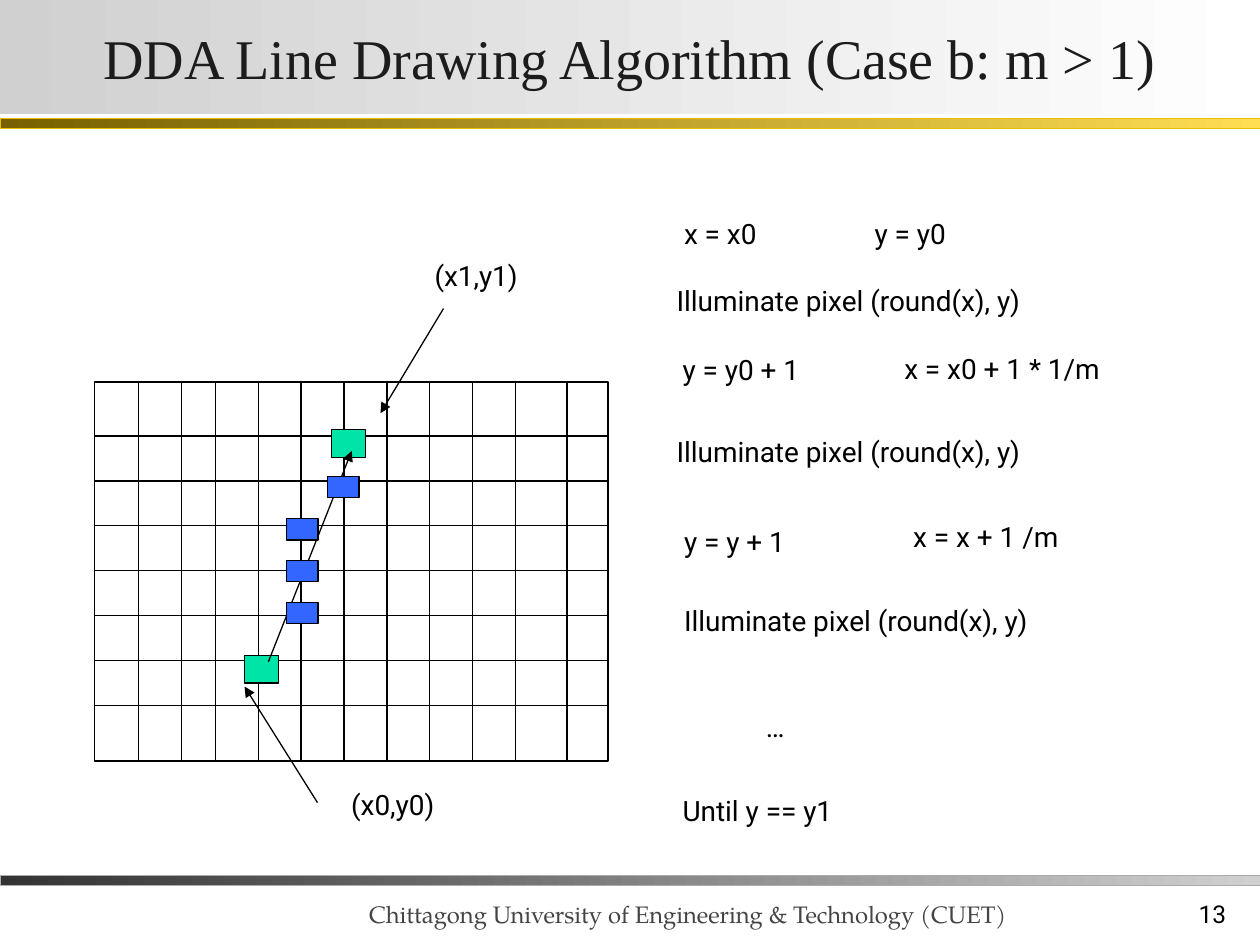
import pptx
import pptx.util
import pptx.dml.color
import pptx.enum.shapes
import pptx.enum.text
import pptx.oxml.ns
import lxml.etree

Cm, Pt = pptx.util.Cm, pptx.util.Pt
Align = pptx.enum.text.PP_ALIGN
Anchor = pptx.enum.text.MSO_ANCHOR
Fit = pptx.enum.text.MSO_AUTO_SIZE
BODY = {"name": "Roboto", "size": Pt(16)}
NOTE = {"name": "TeX Gyre Pagella", "size": Pt(13.6)}
HEAD = {"name": "Times New Roman", "size": Pt(32)}
GREEN, BLUE = "00E4A8", "3366FF"


def color(code):
    return pptx.dml.color.RGBColor.from_string(code)


def apply(obj, values):
    for key, value in values.items():
        setattr(obj, key, value)


def add_sub(parent, tag, **attrs):
    return lxml.etree.SubElement(parent, pptx.oxml.ns.qn(tag), attrs)


def add_box(slide, left, top, width, height, fill=None, edge="000000", weight=0.75):
    """Rectangle; fill is None, one colour, or a pair for a gradient."""
    box = slide.shapes.add_shape(pptx.enum.shapes.MSO_SHAPE.RECTANGLE,
                                 Cm(left), Cm(top), Cm(width), Cm(height))
    box.shadow.inherit = False
    if fill is None:
        box.fill.background()
    elif isinstance(fill, tuple):
        box.fill.gradient()
        box.fill.gradient_angle = 0
        for stop, code in zip(box.fill.gradient_stops, fill):
            stop.color.rgb = color(code)
    else:
        box.fill.solid()
        box.fill.fore_color.rgb = color(fill)
    if edge:
        box.line.color.rgb = color(edge)
        box.line.width = Pt(weight)
    else:
        box.line.fill.background()
    return box


def add_line(slide, start, end, arrow=False):
    line = slide.shapes.add_connector(pptx.enum.shapes.MSO_CONNECTOR.STRAIGHT,
                                      *map(Cm, start + end))
    line.line.color.rgb = color("000000")
    line.line.width = Pt(0.75)
    if arrow:
        add_sub(line.line._get_or_add_ln(), "a:tailEnd", type="triangle")
    add_sub(line._element.spPr, "a:effectLst")


def set_text(shape, text, font, code, frame, align=Align.LEFT, tab=None):
    apply(shape.text_frame, frame)
    para = shape.text_frame.paragraphs[0]
    para.alignment = align
    if tab:
        tabs = add_sub(para._p.get_or_add_pPr(), "a:tabLst")
        add_sub(tabs, "a:tab", pos=str(Cm(tab)), algn="l")
    run = para.add_run()
    run.text = text
    apply(run.font, font)
    run.font.color.rgb = color(code)


def add_text(slide, text, left, top, width, height=0.94, font=BODY,
             code="000000", frame=None, **more):
    box = slide.shapes.add_textbox(Cm(left), Cm(top), Cm(width), Cm(height))
    frame = frame or {"word_wrap": False, "auto_size": Fit.SHAPE_TO_FIT_TEXT}
    set_text(box, text, font, code, frame, **more)


def add_frame(slide):
    # Footer
    low = {"word_wrap": True, "vertical_anchor": Anchor.BOTTOM}
    add_text(slide, "13", 19.69, 17.58, 5.28, 1.27, frame=low,
             font={**BODY, "size": Pt(14)}, align=Align.RIGHT)
    add_text(slide, "Chittagong University of Engineering & Technology (CUET)",
             7.19, 17.27, 13.77, 1.57, frame=low, font=NOTE, code="444444")
    # Bars
    add_box(slide, 0, 17.65, 25.4, 0.2, ("333333", "D0D0D0"), "ABABAB", 0.25)
    add_box(slide, 0, 2.39, 25.4, 0.2, ("766000", "FFDE53"), "E8BC00", 0.25)
    # Title
    title = add_box(slide, 0, 0, 25.4, 2.31, ("D0D0D0", "FFFFFF"), None)
    set_text(title, "DDA Line Drawing Algorithm (Case b: m > 1)", HEAD, "1C1C1C",
             {"word_wrap": True, "vertical_anchor": Anchor.MIDDLE,
              "margin_left": Cm(0.05), "margin_right": Cm(0.05),
              "margin_top": Cm(0.03), "margin_bottom": Cm(0.03)}, Align.CENTER)


def add_grid(slide):
    left, top, width, height = 1.9, 7.7, 10.36, 7.64
    add_box(slide, left, top, width, height)
    cols = [2.79, 3.66] + [4.34 + 0.865 * i for i in range(8)] + [11.43]
    for x in cols:
        add_line(slide, (x, top), (x, top + height))
    for i in range(7):
        y = 8.79 + 0.905 * i
        add_line(slide, (left, y), (left + width, y))


def add_pixels(slide):
    # End points, then the ideal line, then the lit pixels over it
    for x, y in [(4.93, 13.21), (6.68, 8.66)]:
        add_box(slide, x, y, 0.69, 0.56, GREEN)
    add_line(slide, (5.41, 13.34), (7.09, 9.09), arrow=True)
    for x, y in [(5.77, 12.14), (5.77, 11.3), (5.77, 10.46), (6.6, 9.6)]:
        add_box(slide, x, y, 0.64, 0.43, BLUE)
    # Labels with pointers
    add_text(slide, "(x1,y1)", 8.51, 5.08, 2.29)
    add_line(slide, (8.94, 6.22), (7.67, 8.33), arrow=True)
    add_text(slide, "(x0,y0)", 6.83, 15.75, 2.29)
    add_line(slide, (6.4, 16.18), (4.93, 13.84), arrow=True)


def add_steps(slide):
    add_text(slide, "x = x0\ty = y0", 13.54, 4.24, 6.78, tab=3.84,
             frame={"word_wrap": True})
    for left, top in [(13.39, 5.59), (13.39, 8.64), (13.54, 12.04)]:
        add_text(slide, "Illuminate pixel (round(x), y)", left, top, 7.7)
    for text, left, top, width in [
        ("y = y0 + 1", 13.51, 6.99, 3.4),
        ("x = x0 + 1 * 1/m", 17.98, 6.96, 5.23),
        ("y = y + 1", 13.54, 10.44, 2.92),
        ("x = x + 1 /m", 18.16, 10.34, 4.11),
        ("…", 15.19, 14.17, 0.97),
        ("Until y == y1", 13.51, 15.88, 4.04),
    ]:
        add_text(slide, text, left, top, width)


def main():
    deck = pptx.Presentation()
    apply(deck, {"slide_width": Cm(25.4), "slide_height": Cm(19.05)})
    slide = deck.slides.add_slide(deck.slide_layouts[6])
    add_frame(slide)
    add_grid(slide)
    add_pixels(slide)
    add_steps(slide)
    deck.save("out.pptx")


if __name__ == "__main__":
    main()
